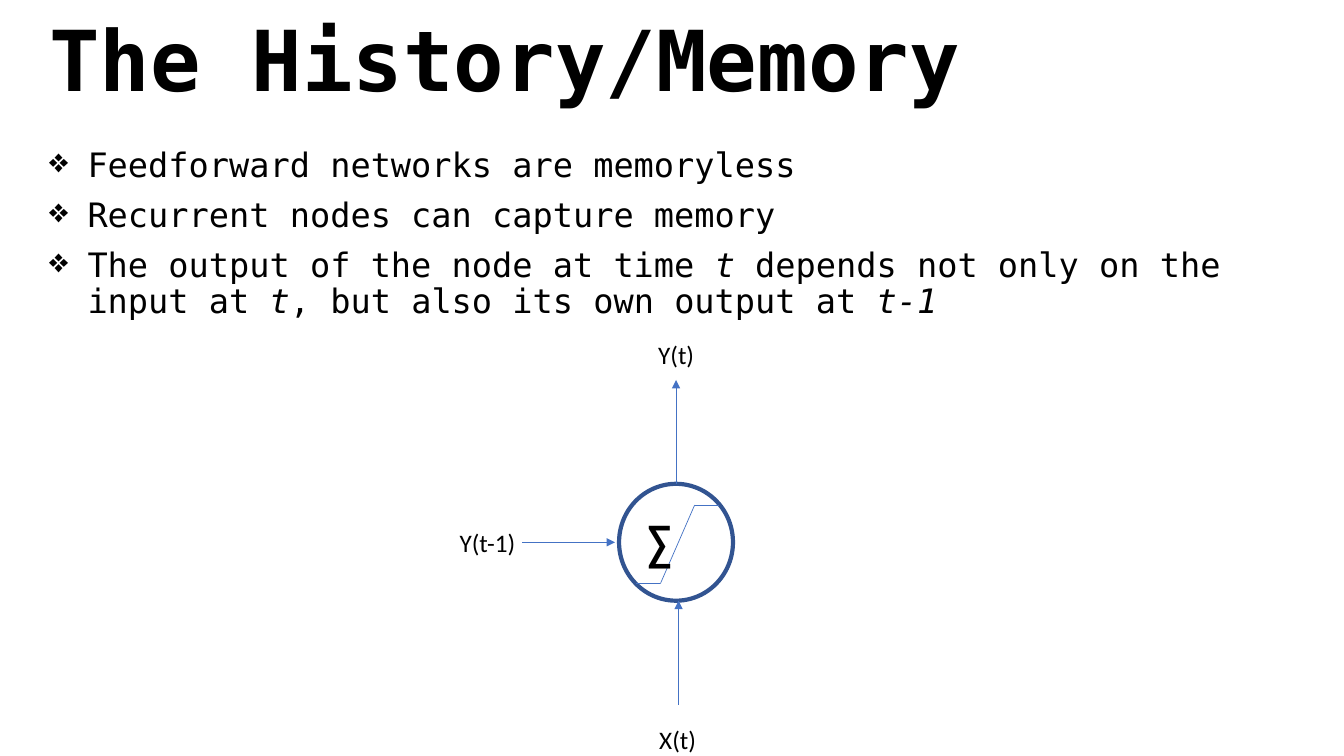
import pptx
import pptx.util
import pptx.dml.color
import pptx.enum.shapes
import pptx.enum.text
import pptx.oxml
import pptx.oxml.ns

Inches = pptx.util.Inches
Pt = pptx.util.Pt
BLACK = pptx.dml.color.RGBColor(0x00, 0x00, 0x00)
BLUE = pptx.dml.color.RGBColor(0x44, 0x72, 0xC4)
NAVY = pptx.dml.color.RGBColor(0x32, 0x54, 0x91)
MONO = "DejaVu Sans Mono"
NS = pptx.oxml.ns.nsdecls("a")

deck = pptx.Presentation()
deck.slide_width = Inches(13.33)
deck.slide_height = Inches(7.5)
slide = deck.slides.add_slide(deck.slide_layouts[6])
shapes = slide.shapes


def add_text(text, left, top, width, height, size, face, bold=False, wrap=True):
    box = shapes.add_textbox(Inches(left), Inches(top), Inches(width), Inches(height))
    frame = box.text_frame
    frame.word_wrap = wrap
    frame.text = text
    font = frame.paragraphs[0].runs[0].font
    font.size = Pt(size)
    font.name = face
    font.bold = bold
    font.color.rgb = BLACK
    return frame


def add_line(start, end, arrow=False):
    line = shapes.add_connector(
        pptx.enum.shapes.MSO_CONNECTOR.STRAIGHT, *map(Inches, start + end))
    line.line.color.rgb = BLUE
    line.line.width = Pt(0.5)
    if arrow:
        line.line._get_or_add_ln().append(
            pptx.oxml.parse_xml(f'<a:tailEnd {NS} type="triangle"/>'))
    line._element.spPr.append(pptx.oxml.parse_xml(f"<a:effectLst {NS}/>"))
    return line


title = add_text("The History/Memory", 0.39, 0, 10.02, 1.14, 60, MONO, bold=True)
title.vertical_anchor = pptx.enum.text.MSO_ANCHOR.BOTTOM
title.paragraphs[0].line_spacing = 0.9

points = [
    [("Feedforward networks are memoryless", False)],
    [("Recurrent nodes can capture memory", False)],
    [
        ("The output of the node at time ", False),
        ("t ", True),
        ("depends not only on the input at ", False),
        ("t", True),
        (", but also its own output at ", False),
        ("t-1", True),
    ],
]
body = shapes.add_textbox(Inches(0.39), Inches(1.42), Inches(12.46), Inches(5.37)).text_frame
body.word_wrap = True
for i, point in enumerate(points):
    para = body.paragraphs[0] if i == 0 else body.add_paragraph()
    para.line_spacing = 0.9
    para.space_before = Pt(10 if i else 0)
    props = para._p.get_or_add_pPr()
    props.set("marL", str(Inches(0.38)))
    props.set("indent", str(Inches(-0.38)))
    props.append(pptx.oxml.parse_xml(f'<a:buChar {NS} char="❖"/>'))
    for text, slant in point:
        run = para.add_run()
        run.text = text
        run.font.size = Pt(24)
        run.font.name = MONO
        run.font.italic = slant
        run.font.color.rgb = BLACK

node = shapes.add_shape(
    pptx.enum.shapes.MSO_SHAPE.OVAL, Inches(6.14), Inches(4.8), Inches(1.13), Inches(1.16))
node.shadow.inherit = False
node.fill.background()
node.line.color.rgb = NAVY
node.line.width = Pt(3)

curve = [(6.31, 5.79), (6.55, 5.79), (6.89, 5.01), (7.13, 5.01)]
for start, end in zip(curve, curve[1:]):
    add_line(start, end)

add_text("∑", 6.31, 5.06, 0.98, 0.64, 32, MONO, bold=True)

add_line((6.73, 6.99), (6.73, 5.96), arrow=True)
output = add_line((6.7, 4.8), (6.7, 3.77), arrow=True)
output.begin_connect(node, 0)
output.end_x = output.begin_x
add_line((5.18, 5.38), (6.1, 5.38), arrow=True)

for text, left, top, width, wrap in [
    ("X(t)", 6.44, 7.14, 0.57, False),
    ("Y(t)", 6.43, 3.32, 0.56, False),
    ("Y(t-1)", 4.46, 5.18, 0.82, True),
]:
    add_text(text, left, top, width, 0.4, 18, "Calibri", wrap=wrap)

deck.save("out.pptx")
